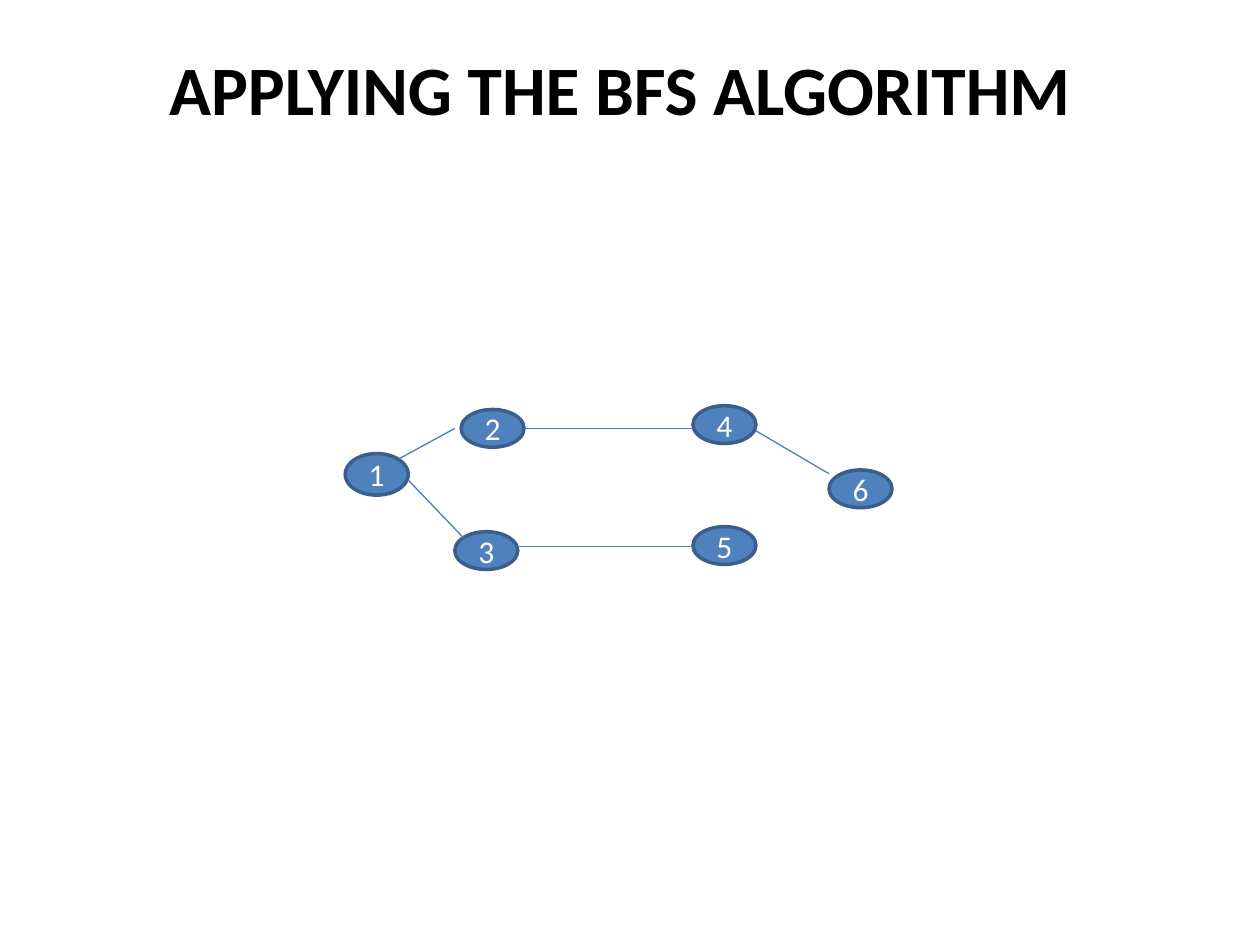
from dataclasses import dataclass

from lxml.etree import SubElement
from pptx import Presentation
from pptx.dml.color import RGBColor
from pptx.enum.shapes import MSO_CONNECTOR, MSO_SHAPE
from pptx.enum.text import MSO_ANCHOR, PP_ALIGN
from pptx.oxml.ns import qn
from pptx.util import Inches, Pt


@dataclass(frozen=True)
class Theme:
    font: str = "Calibri"
    title_color: RGBColor = RGBColor.from_string("000000")
    node_fill: RGBColor = RGBColor.from_string("4F81BD")
    node_line: RGBColor = RGBColor.from_string("3A5F8C")
    node_text: RGBColor = RGBColor.from_string("FFFFFF")
    edge: RGBColor = RGBColor.from_string("4B7EBC")
    title_size: float = 39.6
    node_size: float = 18
    node_width: float = 2
    edge_width: float = 0.75


THEME = Theme()

# Node label: left, top, height within the graph's box
NODES = {
    "1": (0, 0.38, 0.33),
    "2": (0.92, 0.03, 0.3),
    "3": (0.87, 1, 0.3),
    "4": (2.76, 0, 0.3),
    "5": (2.76, 0.96, 0.3),
    "6": (3.84, 0.51, 0.3),
}
NODE_WIDTH = 0.5

# Edge ends within the graph's box
EDGES = [
    ((0.43, 0.42), (0.87, 0.18)),  # 1-2
    ((0.5, 0.59), (0.94, 1.05)),   # 1-3
    ((1.42, 0.18), (2.76, 0.18)),  # 2-4
    ((1.37, 1.12), (2.76, 1.12)),  # 3-5
    ((3.26, 0.2), (3.84, 0.54)),   # 4-6
]


def set_text(shape, text, color, **font):
    tf = shape.text_frame
    frame = {"margin_left": 0, "margin_right": 0, "margin_top": 0,
             "margin_bottom": 0, "word_wrap": True,
             "vertical_anchor": MSO_ANCHOR.MIDDLE}
    for name, value in frame.items():
        setattr(tf, name, value)
    p = tf.paragraphs[0]
    p.alignment = PP_ALIGN.CENTER
    r = p.add_run()
    r.text = text
    for name, value in {"name": THEME.font, **font}.items():
        setattr(r.font, name, value)
    r.font.color.rgb = color


def add_title(s, left, top, width, height):
    title = s.shapes.title
    box = {"left": left, "top": top, "width": width, "height": height}
    for name, value in box.items():
        setattr(title, name, Inches(value))
    set_text(title, "APPLYING THE BFS ALGORITHM", THEME.title_color,
             size=Pt(THEME.title_size), bold=True)


def add_node(s, label, left, top, height):
    sp = s.shapes.add_shape(MSO_SHAPE.OVAL, Inches(left), Inches(top),
                            Inches(NODE_WIDTH), Inches(height))
    sp.shadow.inherit = False
    sp.fill.solid()
    sp.fill.fore_color.rgb = THEME.node_fill
    sp.line.color.rgb = THEME.node_line
    sp.line.width = Pt(THEME.node_width)
    set_text(sp, label, THEME.node_text, size=Pt(THEME.node_size))


def add_edge(s, x1, y1, x2, y2):
    line = s.shapes.add_connector(MSO_CONNECTOR.STRAIGHT, Inches(x1),
                                  Inches(y1), Inches(x2), Inches(y2))
    line.line.color.rgb = THEME.edge
    line.line.width = Pt(THEME.edge_width)
    SubElement(line._element.spPr, qn("a:effectLst"))


def add_graph(s, left, top):
    for label, (x, y, height) in NODES.items():
        add_node(s, label, left + x, top + y, height)
    for (x1, y1), (x2, y2) in EDGES:
        add_edge(s, left + x1, top + y1, left + x2, top + y2)


def main():
    prs = Presentation()
    prs.slide_width, prs.slide_height = Inches(10), Inches(7.5)
    s = prs.slides.add_slide(prs.slide_layouts.get_by_name("Title Only"))
    add_title(s, 0.42, 0.37, 9, 0.66)
    add_graph(s, 2.74, 3.22)
    prs.save("out.pptx")


if __name__ == "__main__":
    main()
